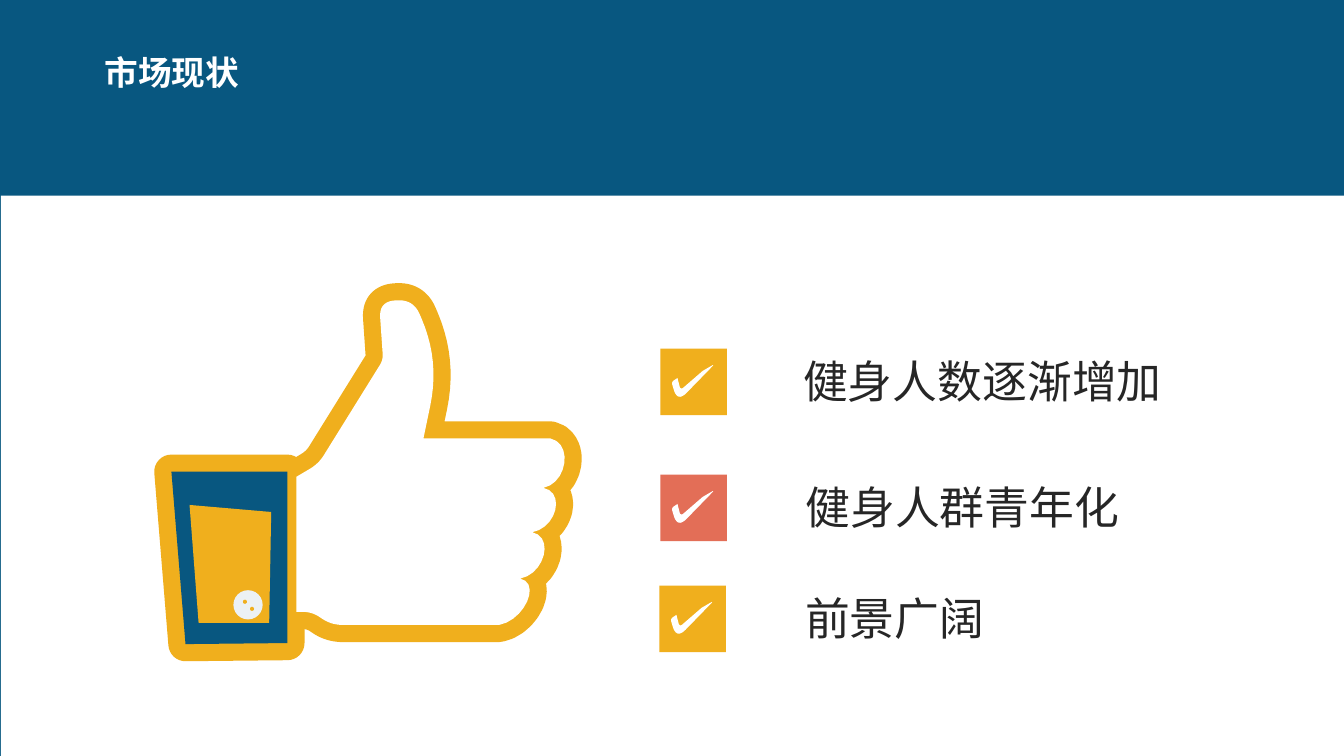
from itertools import pairwise
from math import dist

from lxml.etree import SubElement
from pptx import Presentation
from pptx.dml.color import RGBColor
from pptx.enum.shapes import MSO_SHAPE
from pptx.enum.text import MSO_AUTO_SIZE, PP_ALIGN
from pptx.oxml.ns import qn
from pptx.util import Inches, Pt

BLUE = RGBColor(0x08, 0x57, 0x80)
GOLD = RGBColor(0xF0, 0xAF, 0x1D)
CORAL = RGBColor(0xE3, 0x6E, 0x57)
WHITE = RGBColor(0xFF, 0xFF, 0xFF)
PALE = RGBColor(0xEC, 0xF1, 0xF4)
INK = RGBColor(0x26, 0x26, 0x26)

COLUMNS, ROWS = 13.33, 7.5
CELL = Inches(1)
CURVE_STEPS = 10
HAN_FONT = "Noto Sans CJK SC"

BAND_BOTTOM = 1.94
RIM = 0.17
FINGER_BULGE = 0.23
BOX_SIZE = 0.66

THUMB = [(2.94, 4.73, 0), (3.16, 4.6, 0.1), (3.8, 3.57, 0.06),
         (3.76, 2.99, 0.16), (4.1, 2.97, 0.16), (4.36, 3.58, 0.45), (4.2, 4.35, 0)]
KNUCKLES = [(5.46, 4.35), (5.39, 4.84), (5.28, 5.28), (5.16, 5.74), (4.95, 6.2)]
HEEL = [(3.28, 6.2, 0.12), (3.1, 6.07, 0.1), (2.94, 6.07, 0)]
CUFF = [(1.7, 4.68, 0), (1.84, 6.39, 0), (2.85, 6.38, 0), (2.85, 4.68, 0)]
CUFF_PANEL = [(1.88, 5.01, 0), (1.97, 6.18, 0), (2.67, 6.18, 0), (2.69, 5.08, 0)]
BUTTON_CENTER, BUTTON_SIZE = (2.46, 6), 0.29
BUTTON_HOLES, HOLE_SIZE = [(2.43, 5.97), (2.5, 6.04)], 0.04
TICK = [(0.11, 0.33, 0.03), (0.17, 0.29, 0), (0.2, 0.41, 0.04),
        (0.42, 0.22, 0), (0.54, 0.15, 0.04), (0.17, 0.53, 0.13)]
POINTS = [
    ("健身人数逐渐增加", GOLD, 6.55, 3.46, 7.67),
    ("健身人群青年化", CORAL, 6.55, 4.71, 7.47),
    ("前景广阔", GOLD, 6.54, 5.81, 6.8),
]


def between(start, end, share):
    """Return the point at a share of the way from start to end."""
    return tuple(a + (b - a) * share for a, b in zip(start, end))


def curve(*controls):
    """Sample a Bezier curve by repeated interpolation of its controls."""
    samples = []
    for step in range(CURVE_STEPS + 1):
        points = controls
        while len(points) > 1:
            points = [between(a, b, step / CURVE_STEPS) for a, b in pairwise(points)]
        samples.append(points[0])
    return samples


def rounded(corners):
    """Return a closed outline whose corners (x, y, cut) are rounded by their cut."""
    outline = []
    for i, (x, y, cut) in enumerate(corners):
        corner = (x, y)
        if not cut:
            outline.append(corner)
            continue
        before, after = corners[i - 1][:2], corners[(i + 1) % len(corners)][:2]
        start, end = (between(corner, side, cut / dist(corner, side))
                      for side in (before, after))
        outline += curve(start, corner, end)
    return outline


def fingers():
    """Return one bulge for each pair of neighbouring knuckles."""
    points = []
    for top, bottom in pairwise(KNUCKLES):
        upper, lower = between(top, bottom, 0.1), between(top, bottom, 0.9)
        points += curve(top, (upper[0] + FINGER_BULGE, upper[1]),
                        (lower[0] + FINGER_BULGE, lower[1]), bottom)
    return [(x, y, 0) for x, y in points]


class Board:
    """Draw styled elements on one slide, in columns and rows of its grid."""

    def __init__(self, deck):
        """Add a blank blue slide."""
        self.slide = deck.slides.add_slide(deck.slide_layouts[6])
        self.slide.background.fill.solid()
        self.slide.background.fill.fore_color.rgb = BLUE
        self.shapes = self.slide.shapes

    def group(self):
        """Send the following elements to a new group."""
        self.shapes = self.slide.shapes.add_group_shape().shapes

    def paint(self, element, color, rim=0):
        """Give an element a flat fill and, if asked, a round rim around it."""
        element.shadow.inherit = False
        element.fill.solid()
        element.fill.fore_color.rgb = color
        if not rim:
            element.line.fill.background()
            return
        element.line.color.rgb = color
        element.line.width = round(2 * rim * CELL)
        SubElement(element.line._get_or_add_ln(), qn("a:round"))

    def preset(self, kind, column, row, width, height, color):
        """Add a preset shape."""
        box = [round(n * CELL) for n in (column, row, width, height)]
        self.paint(self.shapes.add_shape(kind, *box), color)

    def disc(self, center, size, color):
        """Add a circle around a center."""
        column, row = (n - size / 2 for n in center)
        self.preset(MSO_SHAPE.OVAL, column, row, size, size, color)

    def outline(self, corners, color, column=0, row=0, rim=0):
        """Add a closed outline shifted by column and row."""
        points = [((x + column) * CELL, (y + row) * CELL) for x, y in rounded(corners)]
        builder = self.shapes.build_freeform(*points[0], scale=1.0)
        builder.add_line_segments(points[1:], close=True)
        self.paint(builder.convert_to_shape(), color, rim)

    def text(self, words, column, row, width, height, size, color,
             font=HAN_FONT, bold=False, align=PP_ALIGN.LEFT):
        """Add one line of text."""
        box = [round(n * CELL) for n in (column, row, width, height)]
        frame = self.shapes.add_textbox(*box).text_frame
        frame.word_wrap = True
        frame.auto_size = MSO_AUTO_SIZE.SHAPE_TO_FIT_TEXT
        line = frame.paragraphs[0]
        line.alignment = align
        run = line.add_run()
        run.text = words
        run.font.size, run.font.bold, run.font.name = Pt(size), bold, font
        run.font.color.rgb = color
        SubElement(run.font._element, qn("a:ea")).set("typeface", HAN_FONT)

    def thumbs_up(self):
        """Draw the hand with its rim, cuff and button."""
        self.group()
        palm = THUMB + fingers() + HEEL
        for part in (palm, CUFF):
            self.outline(part, GOLD, rim=RIM)
        for part, color in ((palm, WHITE), (CUFF, BLUE), (CUFF_PANEL, GOLD)):
            self.outline(part, color)
        self.disc(BUTTON_CENTER, BUTTON_SIZE, PALE)
        for hole in BUTTON_HOLES:
            self.disc(hole, HOLE_SIZE, GOLD)

    def checked_point(self, words, color, column, row, text_column):
        """Draw a ticked box with its statement."""
        self.group()
        self.preset(MSO_SHAPE.RECTANGLE, column, row, BOX_SIZE, BOX_SIZE, color)
        self.outline(TICK, WHITE, column, row)
        self.text(words, text_column, row, 4.15, 0.64, 32, INK, align=PP_ALIGN.CENTER)


def main():
    """Build and save the slide."""
    deck = Presentation()
    deck.slide_width, deck.slide_height = round(COLUMNS * CELL), round(ROWS * CELL)
    board = Board(deck)
    board.text("市场现状", 0.94, 0.47, 3.28, 0.51, 24, WHITE, "Calibri", True)
    board.preset(MSO_SHAPE.RECTANGLE, 0.01, BAND_BOTTOM, COLUMNS, ROWS - BAND_BOTTOM, WHITE)
    board.thumbs_up()
    for point in POINTS:
        board.checked_point(*point)
    deck.save("out.pptx")


if __name__ == "__main__":
    main()
